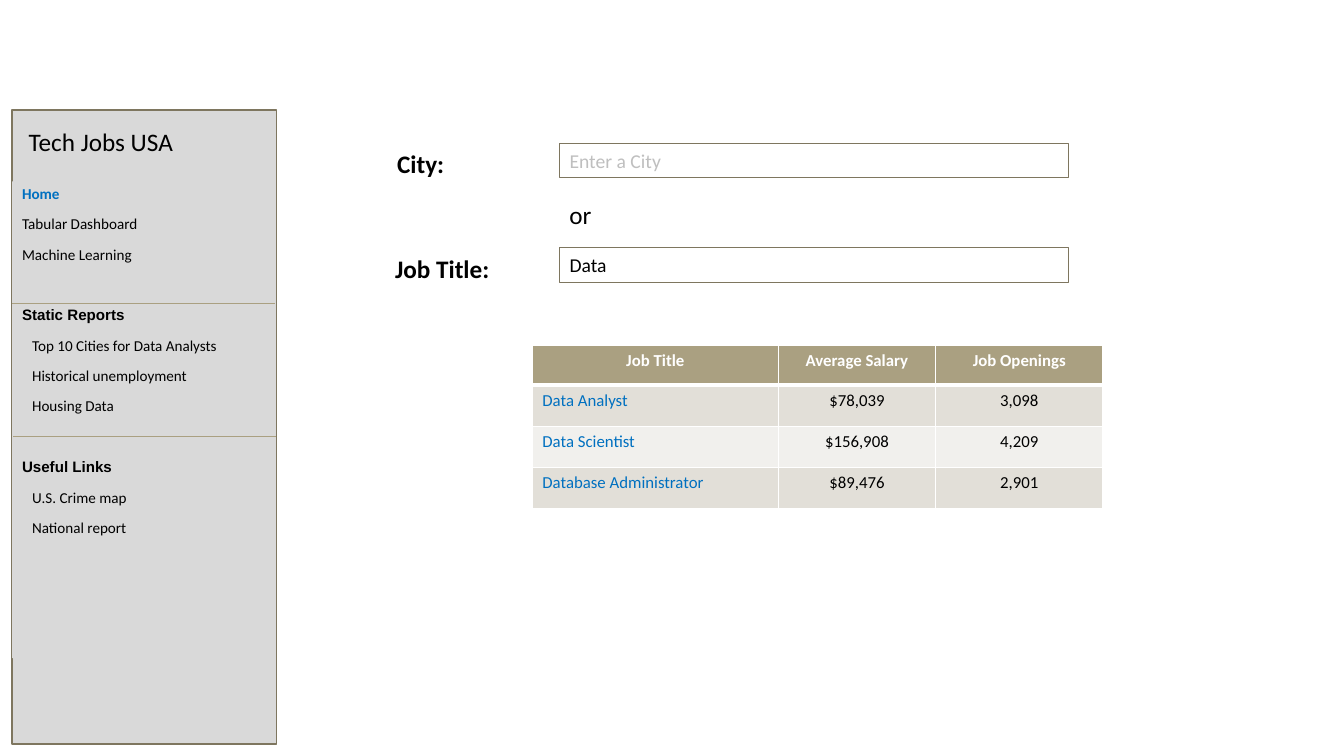
from lxml import etree
from pptx import Presentation
from pptx.dml.color import RGBColor
from pptx.enum import shapes, text
from pptx.oxml.ns import qn
from pptx.util import Inches, Pt

C = {"panel": "D9D9D9", "border": "7E765F", "header": "AAA081", "band1": "E2DFD8",
     "band2": "F1F0ED", "link": "0070C0", "hint": "BFBFBF", "black": "000000", "white": "FFFFFF"}


def style(p, size, color="black", bold=False, font="Calibri", align=text.PP_ALIGN.LEFT):
    p.alignment = align
    p.font.name, p.font.size, p.font.bold = font, Pt(size), bold
    p.font.color.rgb = RGBColor.from_string(C[color])


def add_rect(x, y, w, h, fill=None, line=None):
    sp = s.shapes.add_shape(shapes.MSO_SHAPE.RECTANGLE, Inches(x), Inches(y), Inches(w), Inches(h))
    sp.shadow.inherit = False
    if fill:
        sp.fill.solid()
        sp.fill.fore_color.rgb = RGBColor.from_string(C[fill])
    else:
        sp.fill.background()
    if line:
        sp.line.color.rgb = RGBColor.from_string(C["border"])
        sp.line.width = Pt(line)
    else:
        sp.line.fill.background()
    return sp


prs = Presentation()
prs.slide_width, prs.slide_height = Inches(13.33), Inches(7.5)
s = prs.slides.add_slide(prs.slide_layouts[5])

# Sidebar with its menu: text, colour, bold, font, indent, space before
add_rect(0.12, 1.09, 2.62, 6.29, "panel", 1)
menu = add_rect(0.12, 1.8, 2.61, 4.73, "panel")
sections = [
    (None, ["Home", "Tabular Dashboard", "Machine Learning"]),
    ("Static Reports", ["Top 10 Cities for Data Analysts", "Historical unemployment", "Housing Data"]),
    ("Useful Links", ["U.S. Crime map", "National report"]),
]
entries = []
for heading, items in sections:
    if heading:
        entries.append((heading, "black", True, "Arial", 0, 31.8))
    for item in items:
        home = item == "Home"
        entries.append((item, "link" if home else "black", home, "Calibri",
                        0.1 if heading else 0, 0 if home else 10))
tf = menu.text_frame
tf.word_wrap = True
tf.vertical_anchor = text.MSO_ANCHOR.TOP
for i, (label, color, bold, font, indent, before) in enumerate(entries):
    p = tf.paragraphs[0] if i == 0 else tf.add_paragraph()
    p.text = label
    p.line_spacing, p.space_before = 0.9, Pt(before)
    if indent:
        p._p.get_or_add_pPr().set("marL", str(Inches(indent)))
    style(p, 10.8, color, bold, font)

# Site title, stacked above the sidebar
title = s.shapes.title
title.left, title.top, title.width, title.height = Inches(-0.31), Inches(1.24), Inches(2.62), Inches(0.56)
tf = title.text_frame
tf.text = "Tech Jobs USA"
tf.vertical_anchor = text.MSO_ANCHOR.TOP
tf.auto_size = text.MSO_AUTO_SIZE.NONE
tf.paragraphs[0].line_spacing = 0.9
style(tf.paragraphs[0], 18, align=text.PP_ALIGN.CENTER)
menu.element.addnext(title.element)

# Sidebar dividers
for x, y in [(0.12, 3.01), (0.13, 4.33)]:
    ln = s.shapes.add_connector(shapes.MSO_CONNECTOR.STRAIGHT, Inches(x), Inches(y), Inches(x + 2.61), Inches(y))
    ln.line.color.rgb = RGBColor.from_string(C["header"])
    ln.line.width = Pt(0.5)
    etree.SubElement(ln.element.spPr, qn("a:effectLst"))

# Search fields
for y, value, color in [(1.42, "Enter a City", "hint"), (2.46, "Data", "black")]:
    field = add_rect(5.55, y, 5.05, 0.34, line=0.75)
    tf = field.text_frame
    tf.text = value
    tf.word_wrap = True
    tf.vertical_anchor = text.MSO_ANCHOR.MIDDLE
    style(tf.paragraphs[0], 14, color)

# Field labels
for x, y, label, bold in [(3.84, 1.42, "City:", True), (5.55, 1.93, "or", False), (3.82, 2.46, "Job Title:", True)]:
    tf = s.shapes.add_textbox(Inches(x), Inches(y), Inches(1.64), Inches(0.4)).text_frame
    tf.text = label
    tf.word_wrap = True
    style(tf.paragraphs[0], 18, bold=bold)

# Results table
rows = [
    ("Job Title", "Average Salary", "Job Openings"),
    ("Data Analyst", "$78,039", "3,098"),
    ("Data Scientist", "$156,908", "4,209"),
    ("Database Administrator", "$89,476", "2,901"),
]
table = s.shapes.add_table(4, 3, Inches(5.28), Inches(3.43), Inches(5.66), Inches(1.62)).table
for col, w in zip(table.columns, [2.44, 1.56, 1.66]):
    col.width = Inches(w)
for r, row in enumerate(rows):
    table.rows[r].height = Inches(0.41 if r else 0.39)
    for c, value in enumerate(row):
        cell = table.cell(r, c)
        cell.text = value
        is_link = r > 0 and c == 0
        style(cell.text_frame.paragraphs[0], 12,
              "white" if r == 0 else "link" if is_link else "black", r == 0,
              align=text.PP_ALIGN.LEFT if is_link else text.PP_ALIGN.CENTER)
        tcPr = cell._tc.get_or_add_tcPr()
        for side in "LRTB":
            thick = (r, side) in [(0, "B"), (1, "T")]
            ln = etree.SubElement(tcPr, qn("a:ln" + side), w=str(Pt(3 if thick else 1)))
            fill = etree.SubElement(ln, qn("a:solidFill"))
            etree.SubElement(fill, qn("a:srgbClr"), val=C["white"])
        cell.fill.solid()
        cell.fill.fore_color.rgb = RGBColor.from_string(
            C["header" if r == 0 else "band1" if r % 2 else "band2"])

prs.save("out.pptx")
